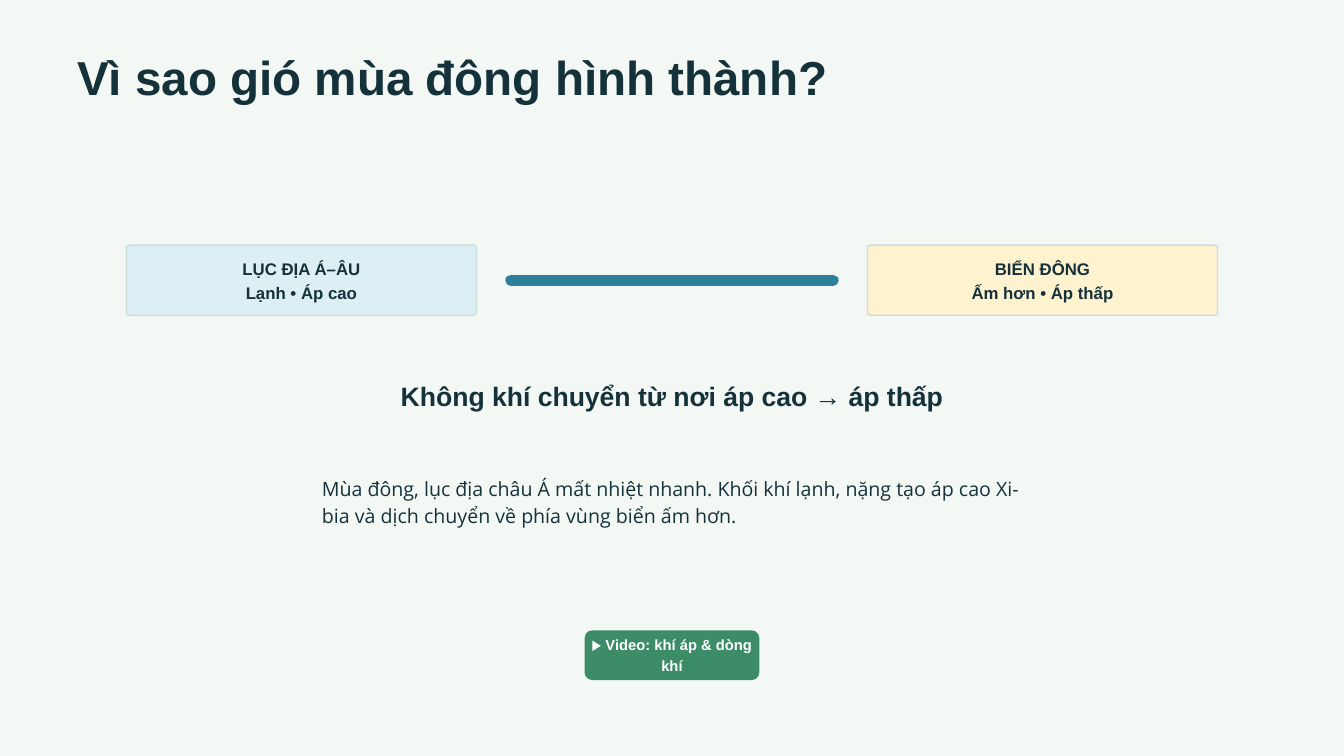
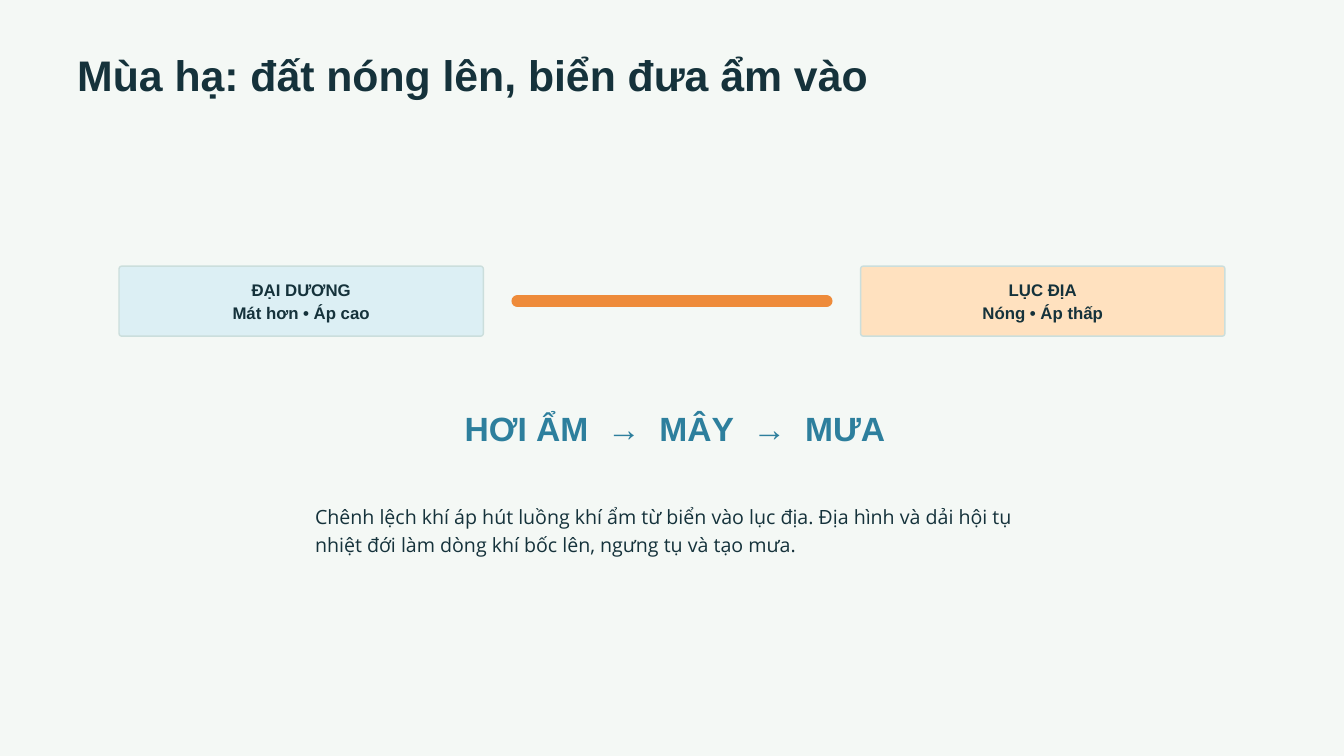
"""Build two slides on how the winter and summer monsoons form."""
from pptx import Presentation
from pptx.dml.color import RGBColor as RGB
from pptx.enum.shapes import MSO_CONNECTOR as LINK, MSO_SHAPE as SHAPE
from pptx.enum.text import MSO_ANCHOR as ANCHOR, PP_ALIGN as ALIGN
from pptx.oxml.ns import qn
from pptx.util import Cm, Pt
from lxml import etree

PAPER = RGB(0xF4, 0xF8, 0xF5)
INK = RGB(0x15, 0x32, 0x3B)
EDGE = RGB(0xCB, 0xDE, 0xDC)
ICE = RGB(0xDC, 0xEF, 0xF4)
SAND = RGB(0xFF, 0xF2, 0xCF)
PEACH = RGB(0xFF, 0xE1, 0xBF)
BLUE = RGB(0x2D, 0x7F, 0x9D)
AMBER = RGB(0xEE, 0x8B, 0x3A)
GREEN = RGB(0x3C, 0x8C, 0x68)
WHITE = RGB(0xFF, 0xFF, 0xFF)
HEAD, BODY = "Arial", "Open Sans"
WIDE, HIGH = 50.8, 28.58
GAP = 1.3
ARROW = " →"


def write(shape, lines, size, lead, color=INK, font=HEAD, align=ALIGN.CENTER):
    frame = shape.text_frame
    frame.word_wrap = True
    frame.margin_left = frame.margin_right = frame.margin_top = frame.margin_bottom = 0
    for i, parts in enumerate(lines):
        para = frame.paragraphs[0] if i == 0 else frame.add_paragraph()
        para.alignment = align
        para.line_spacing = Pt(lead)
        for part in parts:
            run = para.add_run()
            run.text = part
            run.font.size = Pt(size)
            run.font.name = font
            run.font.bold = font == HEAD
            run.font.color.rgb = color
            if part == ARROW:
                run._r.get_or_add_rPr().set("spc", "1000")


def panel(slide, left, top, width, height, fill, curve):
    shape = slide.shapes.add_shape(SHAPE.ROUNDED_RECTANGLE, Cm(left), Cm(top), Cm(width), Cm(height))
    shape.adjustments[0] = curve
    shape.shadow.inherit = False
    shape.fill.solid()
    shape.fill.fore_color.rgb = fill
    shape.line.fill.background()
    shape.text_frame.vertical_anchor = ANCHOR.MIDDLE
    return shape


SLIDES = [
    dict(title="Vì sao gió mùa đông hình thành?", size=51, lead=55.1,
         left=4.78, top=9.27, width=13.23,
         zones=[(ICE, "LỤC ĐỊA Á–ÂU", "Lạnh • Áp cao"),
                (SAND, "BIỂN ĐÔNG", "Ấm hơn • Áp thấp")],
         flow=(BLUE, 12),
         key=["Không khí chuyển từ nơi áp cao → áp thấp"],
         style=(28.5, 39.9, INK), spot=(15.09, 14.15, 20.62, 1.35),
         note="Mùa đông, lục địa châu Á mất nhiệt nhanh. Khối khí lạnh, nặng tạo áp cao "
              "Xi-bia và dịch chuyển về phía vùng biển ấm hơn.",
         base=17.88, span=26.46, video="▶ Video: khí áp & dòng khí"),
    dict(title="Mùa hạ: đất nóng lên, biển đưa ẩm vào", size=45.8, lead=49.4,
         left=4.5, top=10.06, width=13.77,
         zones=[(ICE, "ĐẠI DƯƠNG", "Mát hơn • Áp cao"),
                (PEACH, "LỤC ĐỊA", "Nóng • Áp thấp")],
         flow=(AMBER, 13.5),
         key=["HƠI ẨM", ARROW, " MÂY", ARROW, " MƯA"],
         style=(36, 50.4, BLUE), spot=(14.27, 15.16, 22.48, 1.7),
         note="Chênh lệch khí áp hút luồng khí ẩm từ biển vào lục địa. Địa hình và dải hội tụ "
              "nhiệt đới làm dòng khí bốc lên, ngưng tụ và tạo mưa.",
         base=18.95, span=26.98, video=None),
]

deck = Presentation()
deck.slide_width, deck.slide_height = Cm(WIDE), Cm(HIGH)

for data in SLIDES:
    slide = deck.slides.add_slide(deck.slide_layouts[6])
    slide.background.fill.solid()
    slide.background.fill.fore_color.rgb = PAPER

    title = slide.shapes.add_textbox(Cm(2.92), Cm(2.04), Cm(30.43), Cm(1.9))
    write(title, [[data["title"]]], data["size"], data["lead"], align=ALIGN.LEFT)

    left, top, width = data["left"], data["top"], data["width"]
    for x, (fill, place, state) in zip((left, WIDE - left - width), data["zones"]):
        zone = panel(slide, x, top, width, 2.65, fill, 0.04)
        zone.line.color.rgb = EDGE
        zone.line.width = Pt(1.5)
        write(zone, [[place], [state]], 18, 25.2)
        zone.text_frame.margin_bottom = Cm(0.1)

    start, mid = left + width + GAP, top + 2.65 / 2
    flow = slide.shapes.add_connector(LINK.STRAIGHT, Cm(start), Cm(mid), Cm(WIDE - start), Cm(mid))
    flow.line.color.rgb, flow.line.width = data["flow"][0], Pt(data["flow"][1])
    flow.line._get_or_add_ln().set("cap", "rnd")
    etree.SubElement(flow._element.spPr, qn("a:effectLst"))

    key = slide.shapes.add_textbox(*map(Cm, data["spot"]))
    write(key, [data["key"]], *data["style"])

    span = data["span"]
    note = slide.shapes.add_textbox(Cm((WIDE - span) / 2), Cm(data["base"]), Cm(span), Cm(2.03))
    write(note, [[data["note"]]], 21, 29.4, font=BODY, align=ALIGN.LEFT)

    if data["video"]:
        video = panel(slide, (WIDE - 6.6) / 2, 23.83, 6.6, 1.88, GREEN, 0.15)
        write(video, [[data["video"]]], 15.8, 22, WHITE)
        video.text_frame.margin_left = video.text_frame.margin_right = Cm(0.08)
        video.text_frame.margin_bottom = Cm(0.1)

deck.save("out.pptx")
